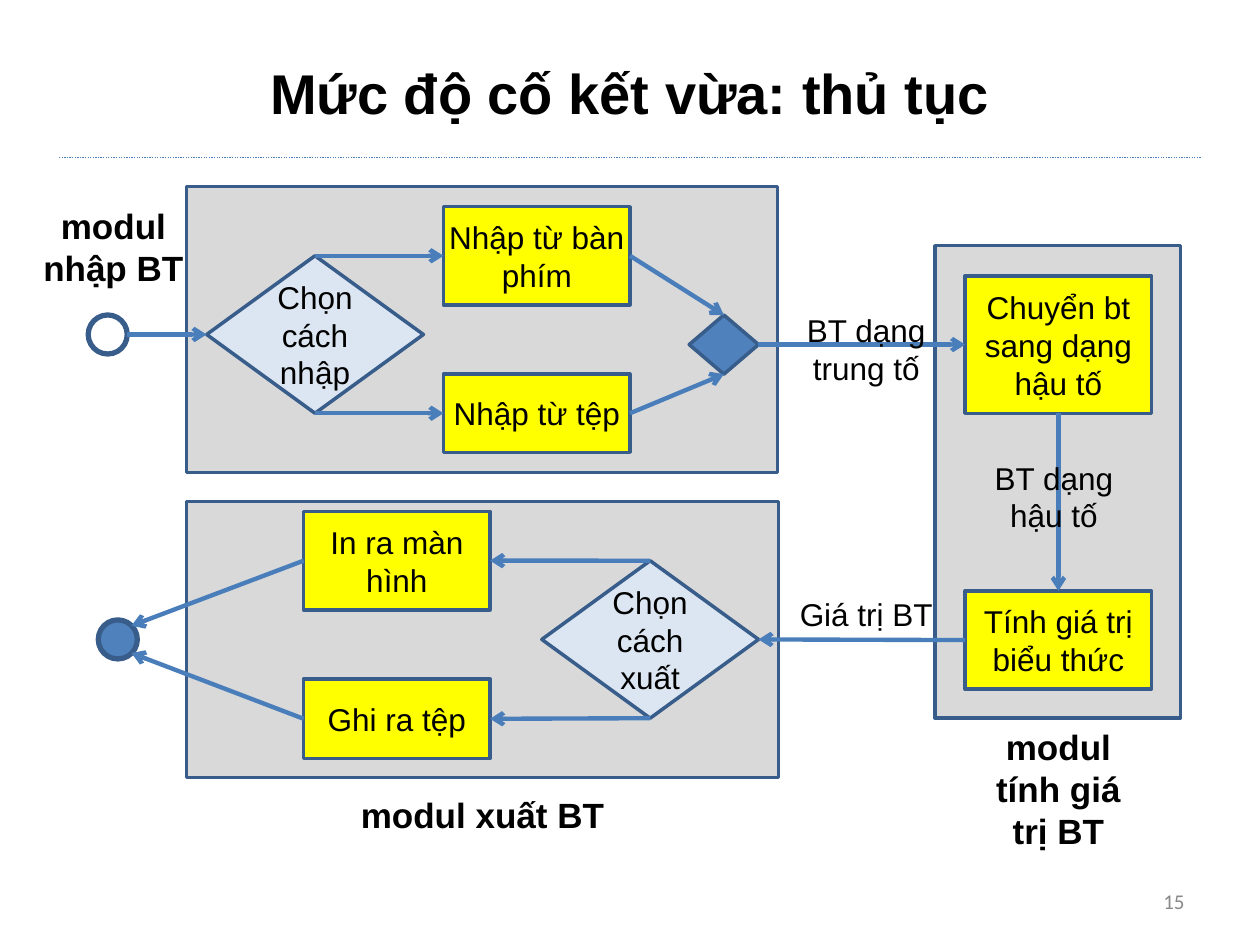
from lxml import etree
from pptx import Presentation
from pptx.dml.color import RGBColor
from pptx.enum.dml import MSO_LINE
from pptx.enum.shapes import MSO_CONNECTOR, MSO_SHAPE
from pptx.enum.text import MSO_ANCHOR, PP_ALIGN
from pptx.oxml.ns import qn
from pptx.util import Inches, Pt

RECTANGLE = MSO_SHAPE.RECTANGLE
DIAMOND = MSO_SHAPE.DIAMOND
OVAL = MSO_SHAPE.OVAL
STRAIGHT = MSO_CONNECTOR.STRAIGHT
DOTTED = MSO_LINE.ROUND_DOT
CENTER = PP_ALIGN.CENTER
RIGHT_ALIGNED = PP_ALIGN.RIGHT
TOP_ANCHOR = MSO_ANCHOR.TOP
MIDDLE = MSO_ANCHOR.MIDDLE

BLACK = RGBColor(0x00, 0x00, 0x00)
GRAY = RGBColor(0x89, 0x89, 0x89)
PANEL = RGBColor(0xD9, 0xD9, 0xD9)
YELLOW = RGBColor(0xFF, 0xFF, 0x00)
PALE_BLUE = RGBColor(0xDC, 0xE6, 0xF2)
BLUE = RGBColor(0x4F, 0x81, 0xBD)
OUTLINE = RGBColor(0x38, 0x5D, 0x8A)
ARROW = RGBColor(0x4A, 0x7E, 0xBB)

TOP, LEFT, BOTTOM, RIGHT, LOWER_RIGHT, OVAL_RIGHT, UPPER_RIGHT = range(7)
SITES = {
    TOP: (0.5, 0), LEFT: (0, 0.5), BOTTOM: (0.5, 1), RIGHT: (1, 0.5),
    LOWER_RIGHT: (0.85, 0.85), OVAL_RIGHT: (1, 0.5), UPPER_RIGHT: (0.85, 0.15),
}


def write_text(shape, text, size=18, font="Arial", color=BLACK, bold=False,
               align=CENTER, anchor=MIDDLE, margins=(0.1, 0.05)):
    frame = shape.text_frame
    frame.word_wrap = True
    frame.vertical_anchor = anchor
    frame.margin_left = frame.margin_right = Inches(margins[0])
    frame.margin_top = frame.margin_bottom = Inches(margins[1])
    paragraph = frame.paragraphs[0]
    paragraph.alignment = align
    run = paragraph.add_run()
    run.text = text
    run.font.size = Pt(size)
    run.font.name = font
    run.font.bold = bold
    run.font.color.rgb = color


def add_label(slide, text, left, top, width, height, **style):
    box = slide.shapes.add_textbox(*map(Inches, (left, top, width, height)))
    write_text(box, text, **{"anchor": TOP_ANCHOR, **style})


def add_node(slide, kind, left, top, width, height, fill=None, text="", line_width=2):
    node = slide.shapes.add_shape(kind, *map(Inches, (left, top, width, height)))
    node.shadow.inherit = False
    if fill is None:
        node.fill.background()
    else:
        node.fill.solid()
        node.fill.fore_color.rgb = fill
    node.line.color.rgb = OUTLINE
    node.line.width = Pt(line_width)
    if text:
        write_text(node, text, margins=(0, 0))
    return node


def add_step(slide, text, left, top, height=0.78):
    return add_node(slide, RECTANGLE, left, top, 1.48, height, YELLOW, text)


def add_choice(slide, text, left, top):
    return add_node(slide, DIAMOND, left, top, 1.72, 1.25, PALE_BLUE, text)


def add_line(slide, start, end, width):
    line = slide.shapes.add_connector(STRAIGHT, *start, *end)
    line.line.color.rgb = ARROW
    line.line.width = Pt(width)
    etree.SubElement(line._element.spPr, qn("a:effectLst"))
    return line


def site_point(shape, site):
    across, down = SITES[site]
    return (shape.left + int(shape.width * across),
            shape.top + int(shape.height * down))


def add_arrow(slide, source, source_site, target, target_site):
    arrow = add_line(slide, site_point(source, source_site),
                     site_point(target, target_site), 2.5)
    if source_site <= RIGHT:
        arrow.begin_connect(source, source_site)
    if target_site <= RIGHT:
        arrow.end_connect(target, target_site)
    etree.SubElement(arrow.line._get_or_add_ln(), qn("a:tailEnd"), type="arrow")


def add_title(slide):
    title = slide.shapes.title
    title.left, title.top = Inches(0.5), Inches(0.3)
    title.width, title.height = Inches(9), Inches(0.87)
    write_text(title, "Mức độ cố kết vừa: thủ tục", size=32, bold=True)
    rule = add_line(slide, (Inches(0.47), Inches(1.25)),
                    (Inches(9.53), Inches(1.25)), 0.75)
    rule.line.dash_style = DOTTED


def add_flow(slide):
    for panel in ((1.48, 3.98, 4.7, 2.19), (7.42, 1.95, 1.95, 3.75),
                  (1.48, 1.48, 4.69, 2.27)):
        add_node(slide, RECTANGLE, *panel, PANEL)

    start = add_node(slide, OVAL, 0.7, 2.5, 0.31, 0.31, line_width=3)
    finish = add_node(slide, OVAL, 0.78, 4.92, 0.31, 0.31, BLUE, line_width=3)
    merge = add_node(slide, DIAMOND, 5.47, 2.5, 0.55, 0.47, BLUE)
    choose_input = add_choice(slide, "Chọn cách nhập", 1.64, 2.03)
    choose_output = add_choice(slide, "Chọn cách xuất", 4.3, 4.45)
    keyboard = add_step(slide, "Nhập từ bàn phím", 3.52, 1.64)
    read_file = add_step(slide, "Nhập từ tệp", 3.52, 2.97, 0.62)
    convert = add_step(slide, "Chuyển bt sang dạng hậu tố", 7.66, 2.19, 1.09)
    evaluate = add_step(slide, "Tính giá trị biểu thức", 7.66, 4.69)
    screen = add_step(slide, "In ra màn hình", 2.41, 4.06)
    write_file = add_step(slide, "Ghi ra tệp", 2.41, 5.39, 0.63)

    for link in (
        (start, OVAL_RIGHT, choose_input, LEFT),
        (choose_input, TOP, keyboard, LEFT),
        (choose_input, BOTTOM, read_file, LEFT),
        (keyboard, RIGHT, merge, TOP),
        (read_file, RIGHT, merge, BOTTOM),
        (merge, RIGHT, convert, LEFT),
        (convert, BOTTOM, evaluate, TOP),
        (evaluate, LEFT, choose_output, RIGHT),
        (choose_output, TOP, screen, RIGHT),
        (choose_output, BOTTOM, write_file, RIGHT),
        (screen, LEFT, finish, UPPER_RIGHT),
        (write_file, LEFT, finish, LOWER_RIGHT),
    ):
        add_arrow(slide, *link)


def add_labels(slide):
    add_label(slide, "BT dạng trung tố", 6.17, 2.42, 1.41, 0.7)
    add_label(slide, "BT dạng hậu tố", 7.66, 3.59, 1.41, 0.7)
    add_label(slide, "Giá trị BT", 6.17, 4.67, 1.41, 0.4)
    for text, *place in (
        ("modul nhập BT", 0.16, 1.57, 1.48, 0.77),
        ("modul xuất BT", 2.5, 6.25, 2.66, 0.44),
        ("modul tính giá trị BT", 7.66, 5.71, 1.48, 1.1),
    ):
        add_label(slide, text, *place, size=20, bold=True)
    add_label(slide, "15", 7.17, 6.95, 2.33, 0.4, size=12, font="Calibri",
              color=GRAY, align=RIGHT_ALIGNED, anchor=MIDDLE)


def main():
    presentation = Presentation()
    presentation.slide_width = Inches(10)
    presentation.slide_height = Inches(7.5)
    slide = presentation.slides.add_slide(presentation.slide_layouts[5])
    add_title(slide)
    add_flow(slide)
    add_labels(slide)
    presentation.save("out.pptx")


main()
